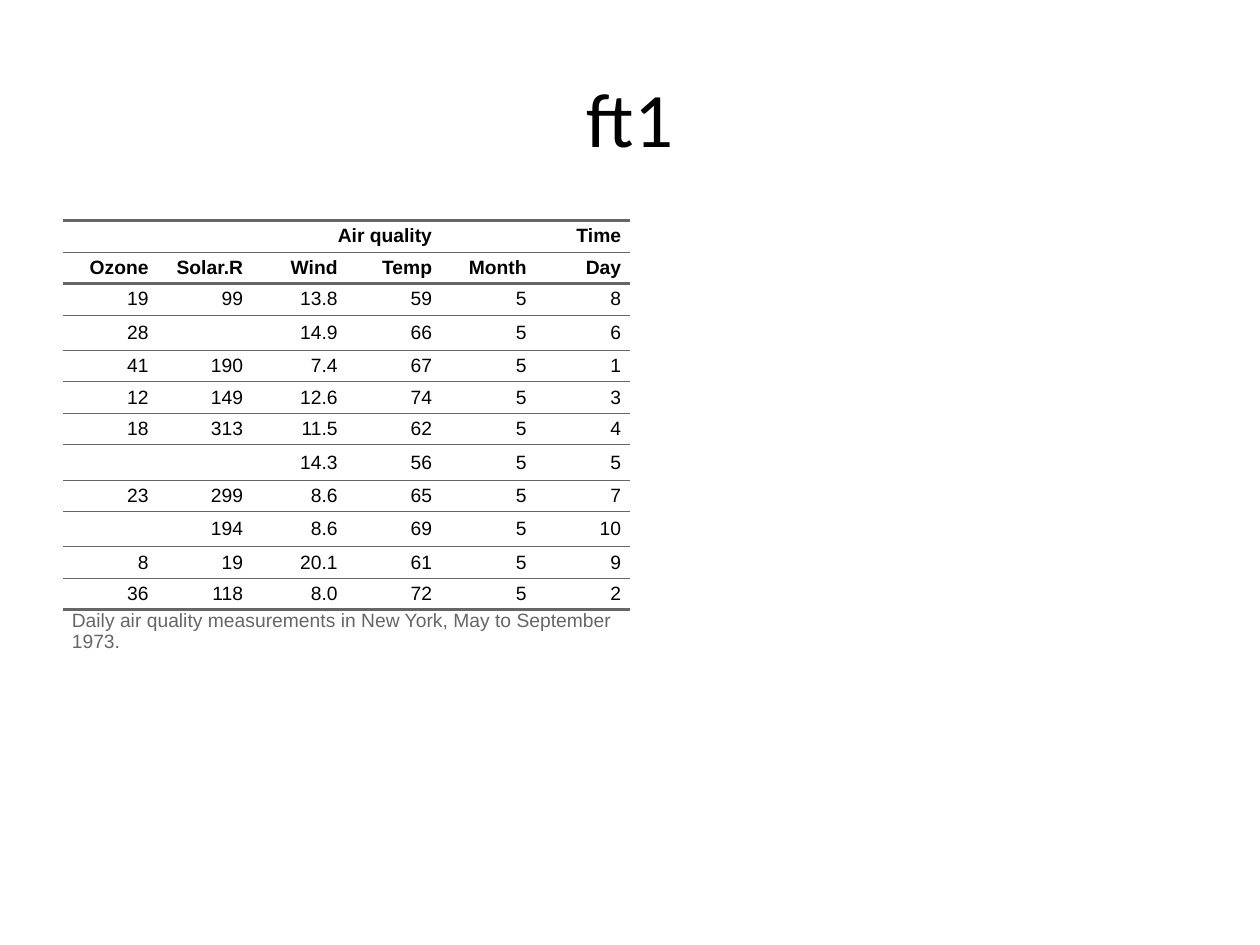
from dataclasses import dataclass

from lxml.etree import SubElement
from pptx import Presentation
from pptx.dml.color import RGBColor
from pptx.enum.text import MSO_ANCHOR as Anchor, PP_ALIGN as Align
from pptx.oxml.ns import qn
from pptx.util import Emu, Inches, Pt

# Colours and measures
BLACK = RGBColor(0, 0, 0)
GRAY = RGBColor(0x66, 0x66, 0x66)
PLAIN = "{2D5ABB26-0587-4C30-8999-92F81FD0307C}"
WIDE, HIGH = Inches(10), Inches(7.5)
COL, ROW, TALL = Inches(0.75), Inches(0.25), Inches(0.28)
PAD = Inches(0.07)
THIN, THICK = Pt(0.5), Pt(2)
SIZE = Pt(11)

HEADS = ["Ozone", "Solar.R", "Wind", "Temp", "Month", "Day"]
DATA = [
    ["19", "99", "13.8", "59", "5", "8"],
    ["28", "", "14.9", "66", "5", "6"],
    ["41", "190", "7.4", "67", "5", "1"],
    ["12", "149", "12.6", "74", "5", "3"],
    ["18", "313", "11.5", "62", "5", "4"],
    ["", "", "14.3", "56", "5", "5"],
    ["23", "299", "8.6", "65", "5", "7"],
    ["", "194", "8.6", "69", "5", "10"],
    ["8", "19", "20.1", "61", "5", "9"],
    ["36", "118", "8.0", "72", "5", "2"],
]
NOTE = "Daily air quality measurements in New York, May to September 1973."


@dataclass
class Line:
    """A table row: its texts, the columns each spans, and its rules."""
    texts: list
    spans: list
    top: int = THIN
    base: int = THIN
    bold: bool = False
    color: RGBColor = BLACK
    align: Align = Align.RIGHT


def set_all(obj, form: dict) -> None:
    for name, value in form.items():
        setattr(obj, name, value)


def rule(cell, side: str, width: int) -> None:
    """Draw one border, or clear it when the width is zero."""
    edge = SubElement(cell._tc.get_or_add_tcPr(), qn(f"a:{side}"), w=str(int(width)))
    if not width:
        SubElement(edge, qn("a:noFill"))
        return
    fill = SubElement(edge, qn("a:solidFill"))
    SubElement(fill, qn("a:srgbClr"), val=str(GRAY))


def write(cell, text: str, line: Line) -> None:
    set_all(cell, {"margin_left": 0, "margin_right": 0, "margin_top": 0,
                   "margin_bottom": 0, "vertical_anchor": Anchor.MIDDLE})
    par = cell.text_frame.paragraphs[0]
    set_all(par, {"alignment": line.align, "space_before": Pt(5), "space_after": Pt(5)})
    props = par._p.get_or_add_pPr()
    for side in ("marL", "marR"):
        props.set(side, str(int(PAD)))
    props.set("indent", "0")
    if text:
        run = par.add_run()
        run.text = text
        set_all(run.font, {"name": "Arial", "size": SIZE, "bold": line.bold})
        run.font.color.rgb = line.color
    else:
        SubElement(par._p, qn("a:endParaRPr"), sz=str(int(SIZE.pt * 100)))


def draw(table, row: int, line: Line) -> None:
    table.rows[row].height = ROW if all(line.texts) else TALL
    for cell in table.rows[row].cells:
        for side, width in (("lnL", 0), ("lnR", 0), ("lnT", line.top), ("lnB", line.base)):
            rule(cell, side, width)
        cell.fill.background()
    col = 0
    for text, span in zip(line.texts, line.spans):
        cell = table.cell(row, col)
        if span > 1:
            cell.merge(table.cell(row, col + span - 1))
        write(cell, text, line)
        col += span


def main() -> None:
    deck = Presentation()
    set_all(deck, {"slide_width": WIDE, "slide_height": HIGH})
    slide = deck.slides.add_slide(deck.slide_layouts[5])

    # Title
    title = slide.shapes.title
    set_all(title, {"left": Emu(int(WIDE * 0.05)), "top": Emu(int(HIGH * 0.04)),
                    "width": Emu(int(WIDE * 0.9)), "height": Inches(1.25)})
    title.text_frame.text = "ft1"
    font = title.text_frame.paragraphs[0].runs[0].font
    set_all(font, {"name": "Calibri", "size": Pt(44)})
    font.color.rgb = BLACK

    # Rows of the table, from headings to note
    count = len(HEADS)
    ones = [1] * count
    lines = [Line(["Air quality", "Time"], [4, 2], top=THICK, bold=True),
             Line(HEADS, ones, base=THICK, bold=True)]
    lines += [Line(texts, ones) for texts in DATA]
    lines[2].top = lines[-1].base = THICK
    lines.append(Line([NOTE], [count], top=THICK, base=0, color=GRAY, align=Align.LEFT))

    # Table
    frame = slide.shapes.add_table(len(lines), count, title.left, Inches(1.75),
                                   COL * count, ROW * len(lines))
    table = frame.table
    set_all(table, {"first_row": False, "horz_banding": False})
    table._tbl.tblPr.find(qn("a:tableStyleId")).text = PLAIN
    for col in table.columns:
        col.width = COL
    for row, line in enumerate(lines):
        draw(table, row, line)
    set_all(frame, {"width": title.width, "height": Inches(4.95)})

    deck.save("out.pptx")


if __name__ == "__main__":
    main()
